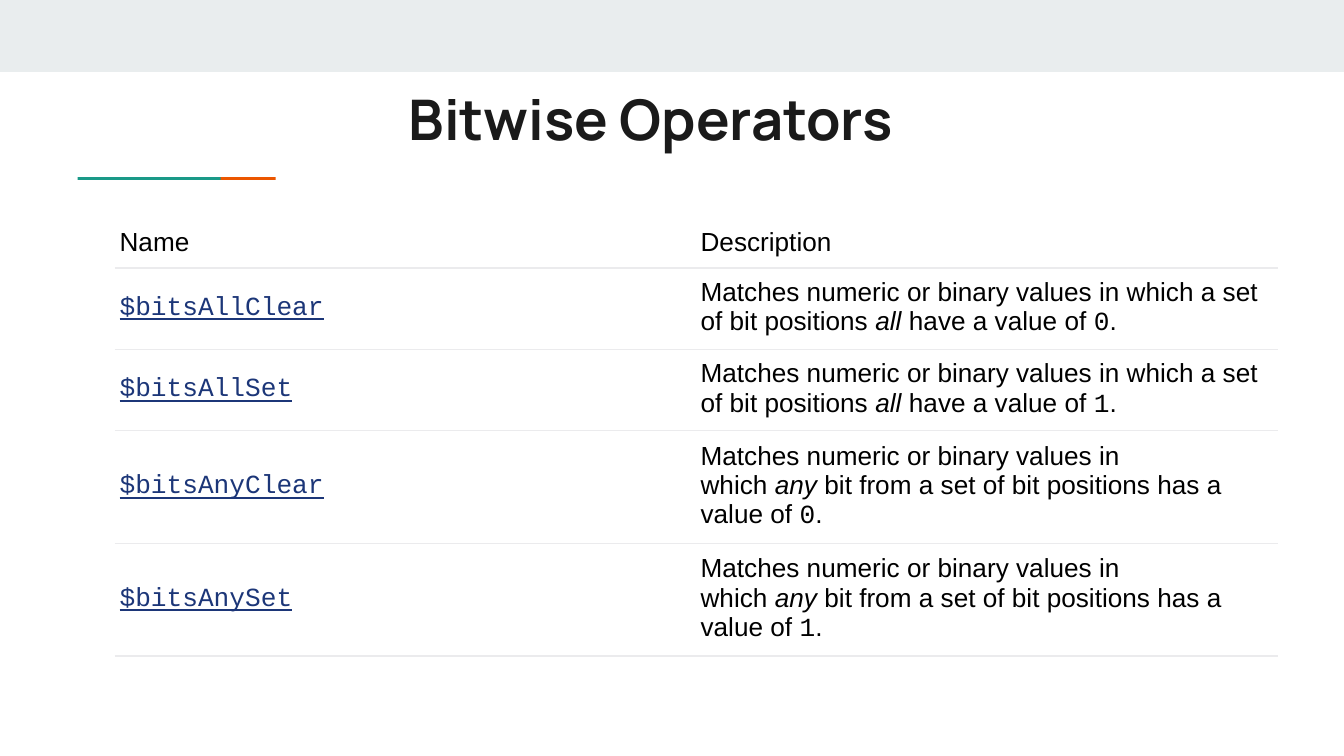
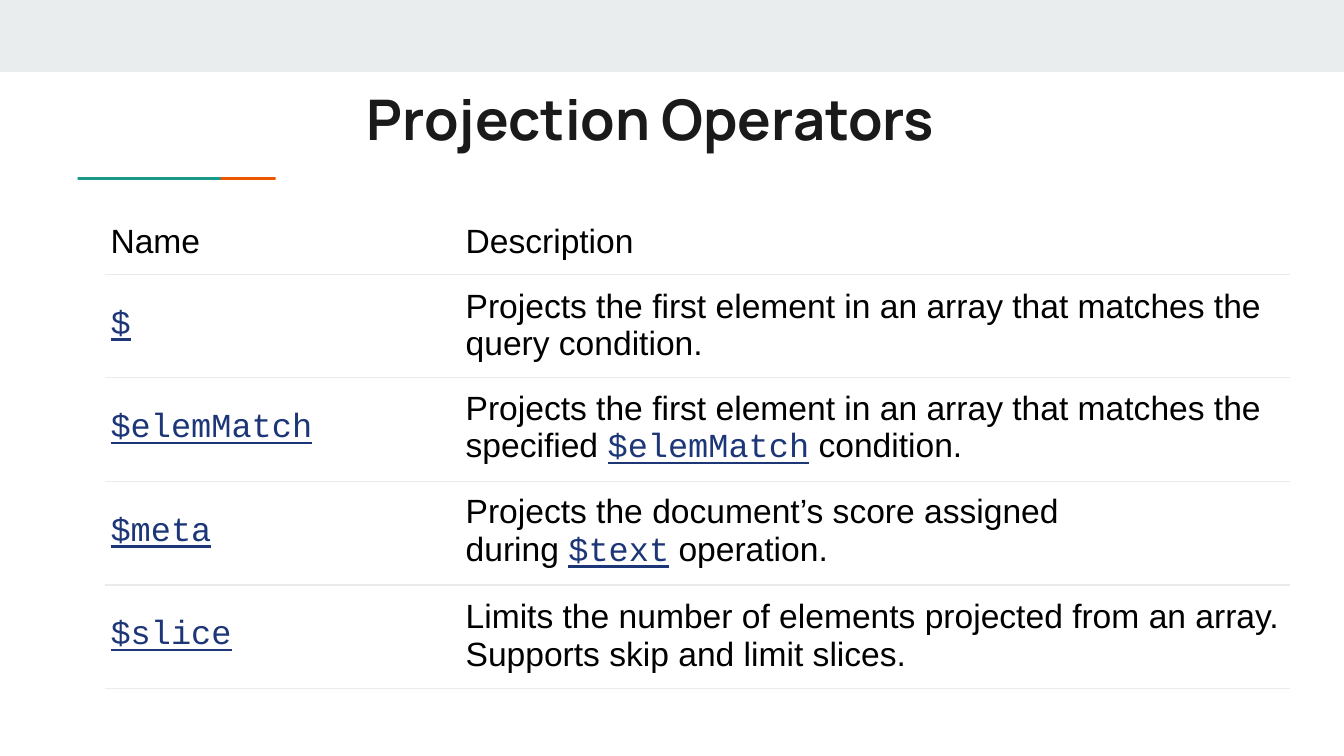
from dataclasses import dataclass
from typing import NamedTuple

from lxml.etree import SubElement as Sub
from pptx import Presentation
from pptx.dml.color import RGBColor as RGB
from pptx.enum.shapes import MSO_SHAPE as Shape
from pptx.enum.text import MSO_ANCHOR as Anchor, PP_ALIGN as Align
from pptx.oxml.ns import qn
from pptx.slide import Slide
from pptx.util import Cm, Length, Pt

WHITE = RGB(0xFF, 0xFF, 0xFF)
BLACK = RGB(0x00, 0x00, 0x00)
INK = RGB(0x1A, 0x1A, 0x1A)
MIST = RGB(0xE9, 0xED, 0xEE)
TEAL = RGB(0x1A, 0x99, 0x88)
ORANGE = RGB(0xEB, 0x56, 0x00)
NAVY = RGB(0x1C, 0x36, 0x78)
RULE = RGB(0xEB, 0xEB, 0xED)

WIDE = Cm(25.4)
HIGH = Cm(14.29)
HARD = chr(160)


class Style(NamedTuple):
    font: str = "Arial"
    color: RGB = BLACK
    italic: bool = False
    under: bool = False


class Span(NamedTuple):
    text: str
    style: Style = Style()


class Bar(NamedTuple):
    left: Length
    top: Length
    width: Length
    height: Length
    color: RGB


CODE = Style("Courier New")
LINK = Style("Courier New", NAVY, under=True)
SLANT = Style(italic=True)

BARS = (
    Bar(Cm(0), Cm(0), WIDE, Cm(1.36), MIST),
    Bar(Cm(2.51), Cm(3.35), Cm(2.7), Cm(0.05), ORANGE),
    Bar(Cm(1.47), Cm(3.35), Cm(2.7), Cm(0.05), TEAL),
)

Cell = tuple[Span, ...]


class Row(NamedTuple):
    name: str
    about: Cell
    height: Length


@dataclass(frozen=True)
class Grid:
    left: Length
    top: Length
    cols: tuple[Length, Length]
    head: Length
    size: Length
    side: Length
    above: Length
    lead: Length
    below: Length


@dataclass(frozen=True)
class Page:
    title: str
    grid: Grid
    rows: tuple[Row, ...]


def match(start: str, word: str, rest: str, digit: str) -> Cell:
    return (
        Span(f"Matches numeric or binary values in which{start}{HARD}"),
        Span(word, SLANT),
        Span(f"{HARD}{rest} a value of{HARD}"),
        Span(digit, CODE),
        Span("."),
    )


def bits_all(digit: str) -> Cell:
    return match(" a set of bit positions", "all", "have", digit)


def bits_any(digit: str) -> Cell:
    return match("", "any", "bit from a set of bit positions has", digit)


def cite(start: str, link: str, end: str) -> Cell:
    return Span(start + HARD), Span(link, LINK), Span(HARD + end)


PAGES = (
    Page(
        "Bitwise Operators",
        Grid(
            left=Cm(2.18), top=Cm(4.22), cols=(Cm(10.98), Cm(10.98)),
            head=Cm(0.83), size=Pt(14),
            side=Cm(0.08), above=Cm(0.07), lead=Cm(0.17), below=Cm(0.18),
        ),
        (
            Row("$bitsAllClear", bits_all("0"), Cm(1.53)),
            Row("$bitsAllSet", bits_all("1"), Cm(1.53)),
            Row("$bitsAnyClear", bits_any("0"), Cm(2.09)),
            Row("$bitsAnySet", bits_any("1"), Cm(2.09)),
        ),
    ),
    Page(
        "Projection Operators",
        Grid(
            left=Cm(1.99), top=Cm(4.09), cols=(Cm(6.71), Cm(15.66)),
            head=Cm(1.09), size=Pt(18),
            side=Cm(0.1), above=Cm(0.1), lead=Cm(0.2), below=Cm(0.23),
        ),
        (
            Row("$", (
                Span("Projects the first element in an array that matches the query condition."),
            ), Cm(1.91)),
            Row("$elemMatch", cite(
                "Projects the first element in an array that matches the specified",
                "$elemMatch", "condition.",
            ), Cm(1.96)),
            Row("$meta", cite(
                "Projects the document’s score assigned during", "$text", "operation.",
            ), Cm(1.96)),
            Row("$slice", (
                Span("Limits the number of elements projected from an array. Supports skip and limit slices."),
            ), Cm(1.91)),
        ),
    ),
)


def draw_bar(slide: Slide, bar: Bar) -> None:
    shape = slide.shapes.add_shape(
        Shape.RECTANGLE, bar.left, bar.top, bar.width, bar.height
    )
    shape.shadow.inherit = False
    shape.fill.solid()
    shape.fill.fore_color.rgb = bar.color
    shape.line.fill.background()


def add_span(para, span: Span, size: Length, bold: bool = False) -> None:
    run = para.add_run()
    run.text = span.text
    font = run.font
    font.name = span.style.font
    font.size = size
    font.bold = bold
    font.italic = span.style.italic
    font.underline = span.style.under
    font.color.rgb = span.style.color


def draw_title(slide: Slide, text: str) -> None:
    box = slide.shapes.add_textbox(Cm(0.69), Cm(1.35), Cm(23.22), Cm(1.47))
    frame = box.text_frame
    frame.word_wrap = True
    frame.margin_left = frame.margin_right = Cm(0.25)
    frame.margin_top = frame.margin_bottom = Cm(0.25)
    para = frame.paragraphs[0]
    para.alignment = Align.CENTER
    add_span(para, Span(text, Style("Manrope", INK)), Pt(30), bold=True)


def add_edge(cell, side: str) -> None:
    props = cell._tc.get_or_add_tcPr()
    line = Sub(props, qn(f"a:{side}"), w=str(Pt(0.75)))
    fill = Sub(line, qn("a:solidFill"))
    Sub(fill, qn("a:srgbClr"), val=str(RULE))


def fill_cell(cell, spans: Cell, grid: Grid, head: bool) -> None:
    for side in ("lnB",) if head else ("lnT", "lnB"):
        add_edge(cell, side)
    cell.fill.solid()
    cell.fill.fore_color.rgb = WHITE
    cell.vertical_anchor = Anchor.MIDDLE
    cell.margin_left = cell.margin_right = grid.side
    cell.margin_top = grid.above if head else grid.lead
    cell.margin_bottom = grid.below
    for span in spans:
        add_span(cell.text_frame.paragraphs[0], span, grid.size)


def draw_table(slide: Slide, page: Page) -> None:
    grid = page.grid
    lines = [(Span("Name"),), (Span("Description"),)], *(
        [(Span(row.name, LINK),), row.about] for row in page.rows
    )
    highs = [grid.head, *(row.height for row in page.rows)]
    table = slide.shapes.add_table(
        len(lines), len(grid.cols), grid.left, grid.top, sum(grid.cols), sum(highs)
    ).table
    table.first_row = False
    table.horz_banding = False
    for col, width in zip(table.columns, grid.cols):
        col.width = width
    for i, (row, line) in enumerate(zip(table.rows, lines)):
        row.height = highs[i]
        for cell, spans in zip(row.cells, line):
            fill_cell(cell, spans, grid, head=i == 0)


def main() -> None:
    deck = Presentation()
    deck.slide_width = WIDE
    deck.slide_height = HIGH
    for page in PAGES:
        slide = deck.slides.add_slide(deck.slide_layouts[6])
        for bar in BARS:
            draw_bar(slide, bar)
        draw_title(slide, page.title)
        draw_table(slide, page)
    deck.save("out.pptx")


if __name__ == "__main__":
    main()
